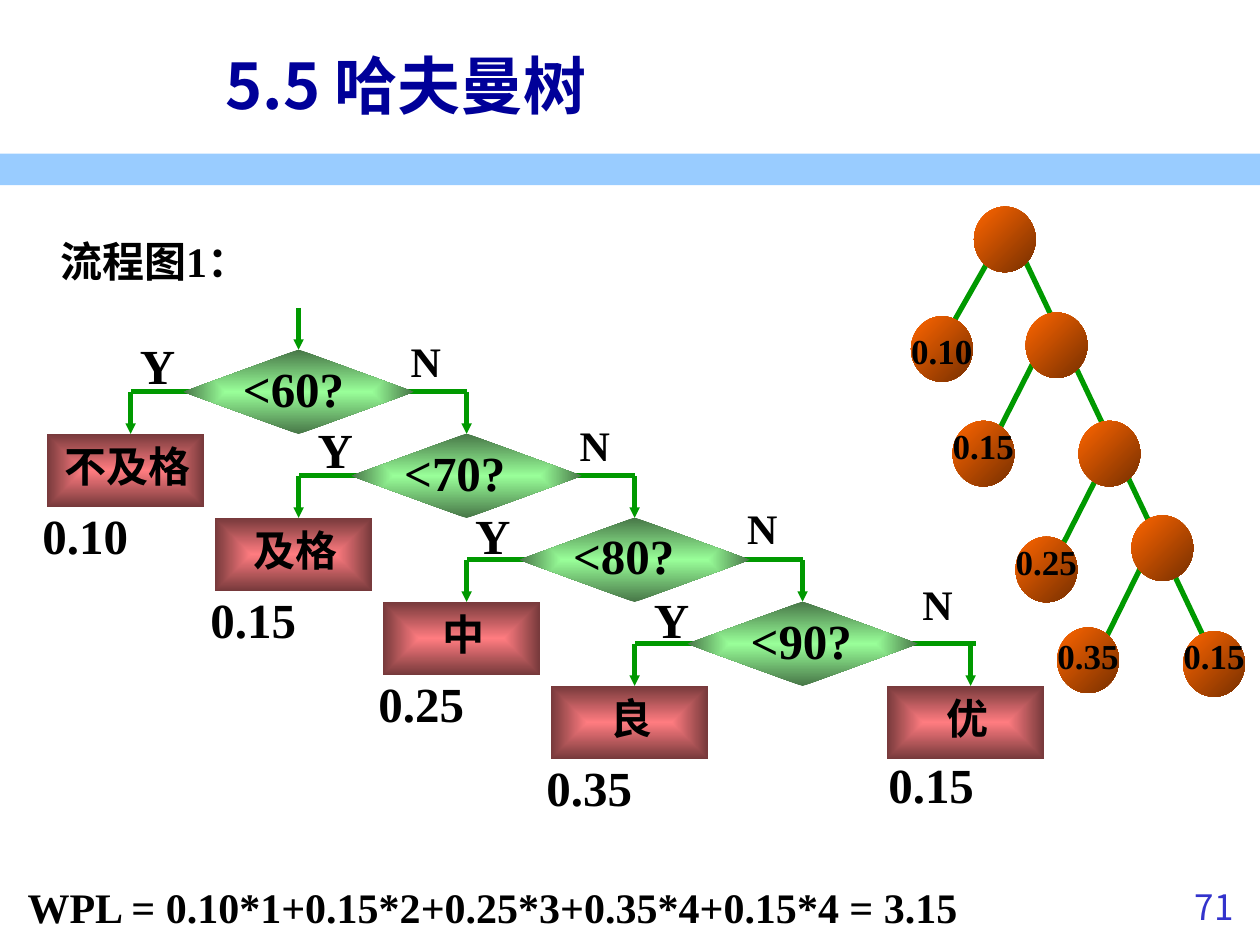
from lxml.etree import SubElement
from pptx import Presentation
from pptx.dml.color import RGBColor
from pptx.enum.shapes import MSO_CONNECTOR, MSO_SHAPE
from pptx.enum.text import MSO_ANCHOR, MSO_AUTO_SIZE, PP_ALIGN
from pptx.oxml.ns import qn
from pptx.util import Inches, Pt

COLORS = {
    "band": "99CCFF", "title": "000099", "page": "3333CC", "text": "000000",
    "line": "009900", "decision": ("99FF99", "477647"),
    "outcome": ("FF7C80", "76393B"), "node": ("FF6600", "762F00"),
}
SERIF, SANS = "Times New Roman", "Noto Sans CJK SC"

TITLE = "5.5 哈夫曼树"
HEADING = "流程图1："
FORMULA = "WPL = 0.10*1+0.15*2+0.25*3+0.35*4+0.15*4 = 3.15"
PAGE = "71"

DECISIONS = [
    {"question": "<60?", "left": 1.83, "yes": (1.01, 2.61), "no": (3.16, 2.61)},
    {"question": "<70?", "left": 3.11, "yes": (2.42, 3.28), "no": (4.5, 3.28)},
    {"question": "<80?", "left": 4.45, "yes": (3.67, 3.96), "no": (5.83, 3.94)},
    {"question": "<90?", "left": 5.86, "yes": (5.09, 4.63), "no": (7.22, 4.54)},
]
OUTCOMES = [("不及格", "0.10"), ("及格", "0.15"), ("中", "0.25"), ("良", "0.35")]
LAST_OUTCOME = ("优", "0.15")

INNER_NODES = [(7.73, 1.64), (8.14, 2.48), (8.56, 3.34), (8.98, 4.09)]
LEAVES = [
    ("0.10", 7.23, 2.51, 2.62), ("0.15", 7.56, 3.34, 3.37),
    ("0.25", 8.06, 4.26, 4.29), ("0.35", 8.39, 4.98, 5.04),
    ("0.15", 9.39, 5.01, 5.04),
]
BRANCHES = [
    (9.06, 4.49, 8.73, 5.16), (8.73, 3.74, 8.39, 4.41),
    (8.23, 2.82, 7.89, 3.49), (7.98, 1.74, 9.56, 5.07),
    (7.89, 1.99, 7.56, 2.57),
]

FIRST_X, FIRST_Y = 2.37, 3.11
STEP_X, STEP_Y = 4 / 3, 2 / 3
DROP = STEP_Y / 2
DIAMOND_W, DIAMOND_H = 1.83, 0.67
BOX_W, BOX_H = 1.25, 0.58
NODE_W, NODE_H = 0.49, 0.52
LABEL_SIZE = 0.33

presentation = Presentation()
presentation.slide_width, presentation.slide_height = Inches(10), Inches(7.5)
slide = presentation.slides.add_slide(presentation.slide_layouts[6])


def add_text(text, left, top, width, height, size, align=PP_ALIGN.CENTER,
             anchor=MSO_ANCHOR.MIDDLE, wrap=False, grow=True, font=SERIF,
             color="text", bold=True, spacing=None):
    box = slide.shapes.add_textbox(*map(Inches, (left, top, width, height)))
    frame = box.text_frame
    frame.word_wrap = wrap
    frame.vertical_anchor = anchor
    frame.auto_size = MSO_AUTO_SIZE.SHAPE_TO_FIT_TEXT if grow else MSO_AUTO_SIZE.NONE
    paragraph = frame.paragraphs[0]
    paragraph.text = text
    paragraph.alignment = align
    if spacing:
        paragraph.line_spacing = spacing
    paragraph.font.name = font
    paragraph.font.size = Pt(size)
    paragraph.font.bold = bold
    paragraph.font.color.rgb = RGBColor.from_string(COLORS[color])
    properties = paragraph._p.pPr.find(qn("a:defRPr"))
    SubElement(properties, qn("a:ea")).set("typeface", SANS)


def add_shape(kind, left, top, width, height, color):
    shape = slide.shapes.add_shape(kind, *map(Inches, (left, top, width, height)))
    shape.shadow.inherit = False
    shape.line.fill.background()
    if color == "band":
        shape.fill.solid()
        shape.fill.fore_color.rgb = RGBColor.from_string(COLORS[color])
        return
    shape.fill.gradient()
    for stop, value in zip(shape.fill.gradient_stops, COLORS[color]):
        stop.color.rgb = RGBColor.from_string(value)
    if color == "node":
        shape.fill.gradient_angle = 315
        return
    gradient = shape._element.spPr.find(qn("a:gradFill"))
    gradient.remove(gradient.find(qn("a:lin")))
    center = SubElement(gradient, qn("a:path"))
    center.set("path", "rect")
    rectangle = SubElement(center, qn("a:fillToRect"))
    for side in "ltrb":
        rectangle.set(side, "50000")


def add_line(x1, y1, x2, y2, arrow=False):
    line = slide.shapes.add_connector(
        MSO_CONNECTOR.STRAIGHT, *map(Inches, (x1, y1, x2, y2)))
    line.line.color.rgb = RGBColor.from_string(COLORS["line"])
    line.line.width = Pt(3)
    if arrow:
        head = SubElement(line.line._get_or_add_ln(), qn("a:tailEnd"))
        for name, value in (("type", "triangle"), ("w", "sm"), ("len", "sm")):
            head.set(name, value)
    SubElement(line._element.spPr, qn("a:effectLst"))


def add_outcome(name, weight, x, top, weight_left, weight_top):
    left = x - STEP_X / 2
    add_shape(MSO_SHAPE.RECTANGLE, left, top, BOX_W, BOX_H, "outcome")
    add_text(name, left + 0.04, top, 1.2, 0.5, 24)
    add_text(weight, weight_left, weight_top, 0.88, 0.57, 28)


add_shape(MSO_SHAPE.RECTANGLE, 0, 1.22, 10, 0.25, "band")
add_text(PAGE, 8.94, 6.98, 0.95, 0.52, 20, PP_ALIGN.RIGHT, MSO_ANCHOR.TOP,
         True, False, SANS, "page", False)
add_text(TITLE, 1.69, 0.21, 8.19, 0.92, 36, PP_ALIGN.LEFT, wrap=True, grow=False,
         font=SANS, color="title")
add_text(HEADING, 0.38, 1.7, 1.9, 0.62, 24, PP_ALIGN.LEFT, MSO_ANCHOR.TOP,
         True, spacing=1.3)
add_text(FORMULA, 0.12, 6.95, 8.59, 0.5, 24, PP_ALIGN.LEFT, MSO_ANCHOR.TOP, True)

centers = [(FIRST_X + i * STEP_X, FIRST_Y + i * STEP_Y) for i in range(len(DECISIONS))]
last_x, last_y = centers[-1]
for x, y in centers:
    overrun = 0.04 if x == last_x else 0
    add_line(x - 0.83, y, x - STEP_X, y)
    add_line(x + STEP_X + overrun, y, x + 0.83, y)
for x, y in centers:
    add_shape(MSO_SHAPE.FLOWCHART_DECISION, x - DIAMOND_W / 2, y - DIAMOND_H / 2,
              DIAMOND_W, DIAMOND_H, "decision")
add_line(FIRST_X, FIRST_Y - 2 * DROP, FIRST_X, FIRST_Y - DROP, arrow=True)
for (x, y), (name, weight) in zip(centers, OUTCOMES):
    for end in (x - STEP_X, x + STEP_X):
        add_line(end, y, end, y + DROP, arrow=True)
    left_x, top = x - STEP_X, y + DROP
    add_outcome(name, weight, left_x, top, left_x - 0.8, top + 0.52)
add_outcome(*LAST_OUTCOME, last_x + STEP_X, last_y + DROP, 6.95, 5.94)

for (x, y), decision in zip(centers, DECISIONS):
    add_text(decision["question"], decision["left"], y - 0.32, 1, 0.57, 28, grow=False)
    add_text("Y", *decision["yes"], 0.48, 0.57, 28)
    add_text("N", *decision["no"], 0.44, 0.5, 24)

for branch in BRANCHES:
    add_line(*branch)
for left, top in INNER_NODES + [leaf[1:3] for leaf in LEAVES]:
    add_shape(MSO_SHAPE.OVAL, left, top, NODE_W, NODE_H, "node")
for weight, left, top, label_top in LEAVES:
    add_text(weight, left + (NODE_W - LABEL_SIZE) / 2, label_top,
             LABEL_SIZE, LABEL_SIZE, 20, grow=False)

presentation.save("out.pptx")
